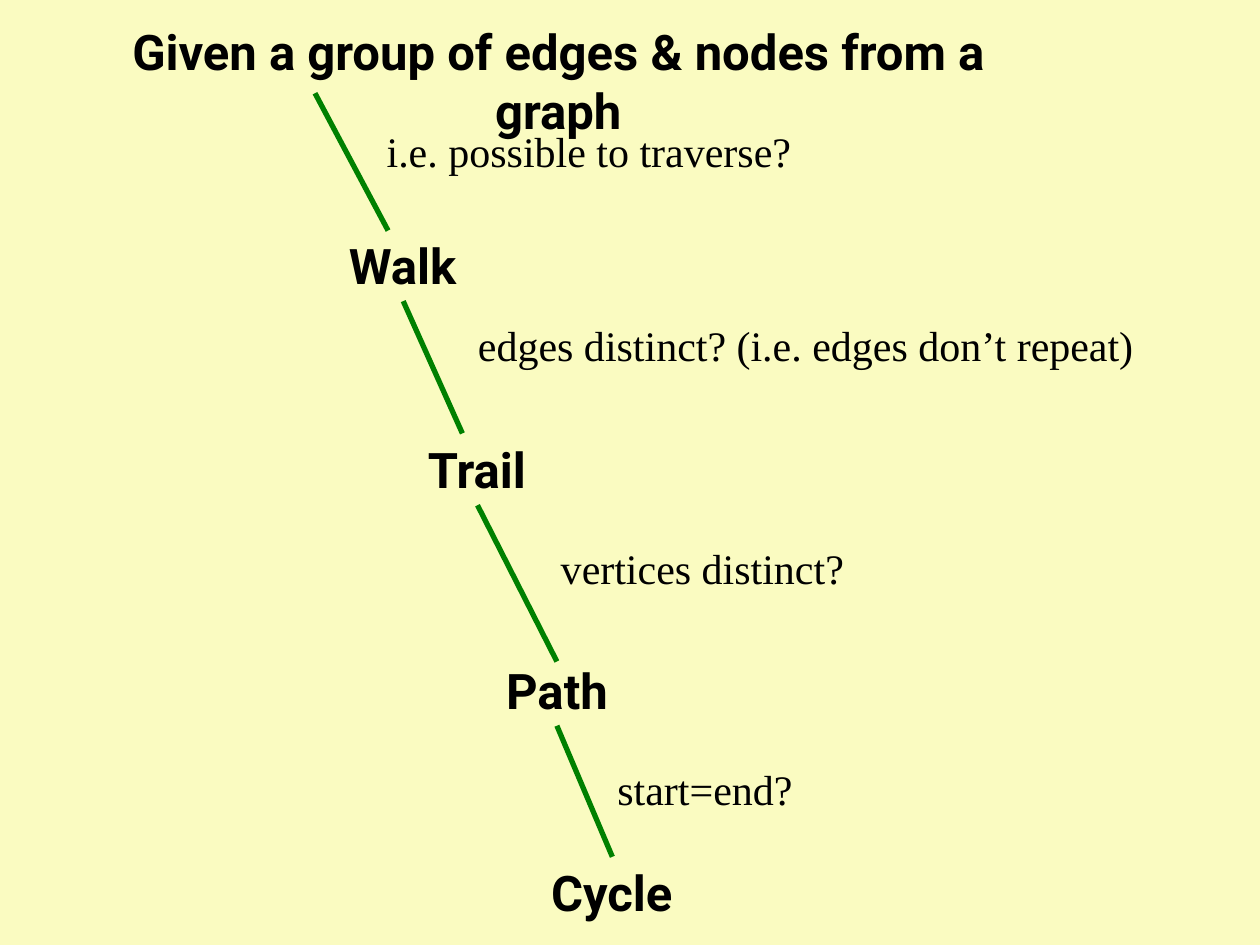
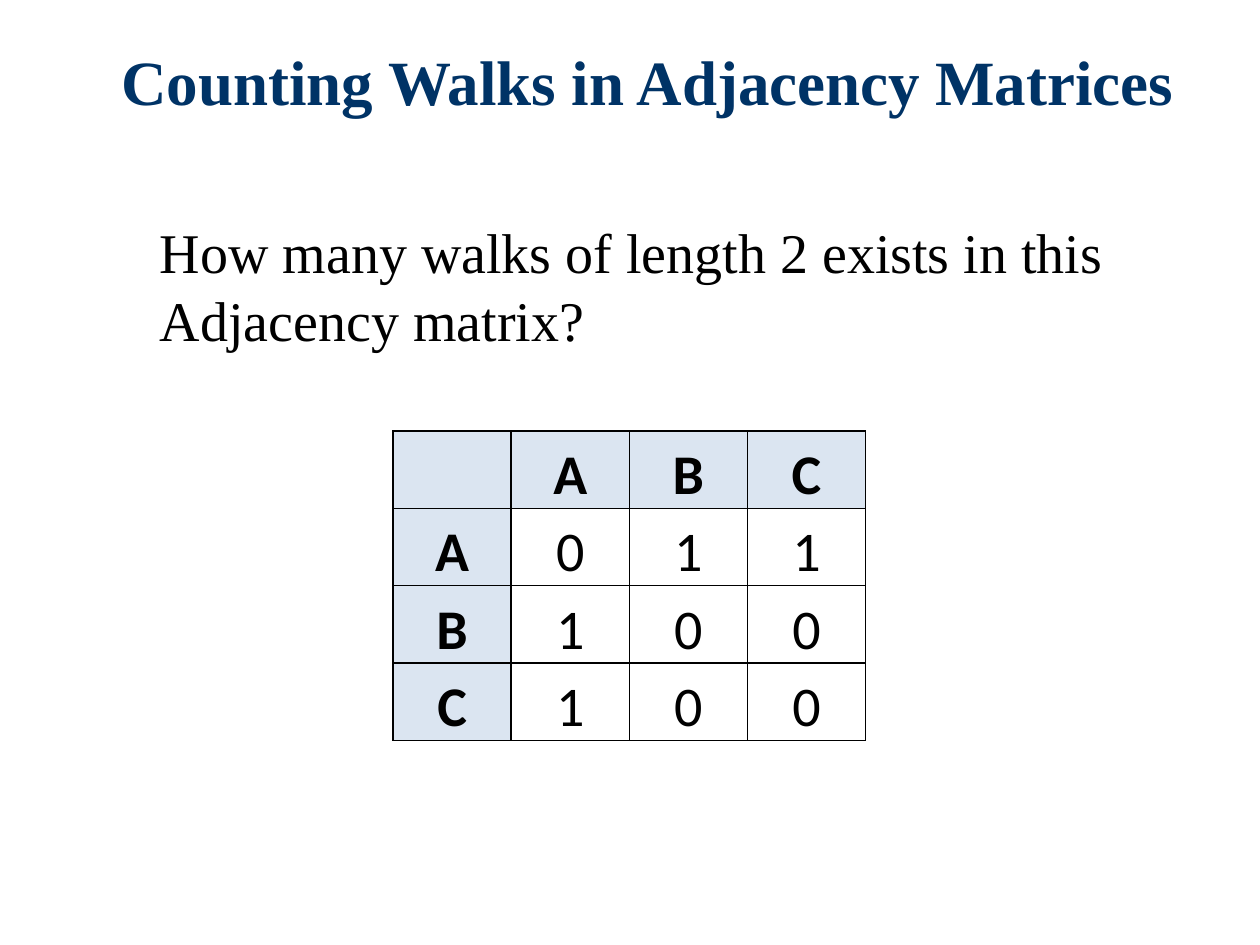
import dataclasses

import lxml.etree
import pptx
import pptx.dml.color
import pptx.enum.shapes
import pptx.enum.text
import pptx.oxml.ns
import pptx.util

PX = 9144  # EMU per px, 100 px to the inch
BLANK_LAYOUT = 6
ALIGN = pptx.enum.text.PP_ALIGN
ANCHOR = pptx.enum.text.MSO_ANCHOR


@dataclasses.dataclass(frozen=True)
class Theme:
    cream: str = "FAFBC1"
    white: str = "FFFFFF"
    black: str = "000000"
    green: str = "008000"
    navy: str = "003366"
    header_blue: str = "DBE5F1"
    serif: str = "Times New Roman"
    heading_font: str = "Roboto"
    table_font: str = "Calibri"
    title_size: int = 36
    body_size: int = 32
    stage_size: int = 28
    question_size: int = 24
    edge_width: int = 3
    border_width: int = 1


THEME = Theme()

# Text, left, top and width of each stage
STAGES = [
    ("Given a group of edges & nodes from a graph", 44, 12, 798),
    ("Walk", 189, 182, 261),
    ("Trail", 256, 344, 245),
    ("Path", 333, 519, 218),
    ("Cycle", 398, 680, 175),
]
# Text, left, top, width and alignment of each question between two stages
QUESTIONS = [
    ("i.e. possible to traverse?", 297, 95, 545, ALIGN.LEFT),
    ("edges distinct? (i.e. edges don’t repeat)", 367, 249, 545, ALIGN.CENTER),
    ("vertices distinct?", 432, 426, 251, ALIGN.CENTER),
    ("start=end?", 464, 601, 191, ALIGN.CENTER),
]
# Start and end of the edge from each stage to the next
EDGES = [
    (250, 74, 308, 183),
    (320, 239, 367, 344),
    (379, 401, 442, 525),
    (442, 576, 486, 680),
]
ADJACENCY = [
    ["", "A", "B", "C"],
    ["A", "0", "1", "1"],
    ["B", "1", "0", "0"],
    ["C", "1", "0", "0"],
]


def px(*lengths):
    return [pptx.util.Emu(length * PX) for length in lengths]


def rgb(color):
    return pptx.dml.color.RGBColor.from_string(color)


def write_text(text_frame, text, *, size, font=THEME.serif, color=THEME.black,
               bold=False, align=ALIGN.LEFT, line_spacing=None):
    paragraph = text_frame.paragraphs[0]
    paragraph.alignment = align
    paragraph.line_spacing = line_spacing
    run = paragraph.add_run()
    run.text = text
    run.font.name = font
    run.font.size = pptx.util.Pt(size)
    run.font.bold = bold
    run.font.color.rgb = rgb(color)


def add_slide(presentation, background):
    slide = presentation.slides.add_slide(presentation.slide_layouts[BLANK_LAYOUT])
    slide.background.fill.solid()
    slide.background.fill.fore_color.rgb = rgb(background)
    return slide


def add_text_box(slide, text, left, top, width, height, *, anchor=ANCHOR.TOP, **text_format):
    shape = slide.shapes.add_textbox(*px(left, top, width, height))
    shape.text_frame.word_wrap = True
    shape.text_frame.vertical_anchor = anchor
    write_text(shape.text_frame, text, **text_format)


def add_edge(slide, *ends):
    connector = slide.shapes.add_connector(
        pptx.enum.shapes.MSO_CONNECTOR.STRAIGHT, *px(*ends))
    connector.line.color.rgb = rgb(THEME.green)
    connector.line.width = pptx.util.Pt(THEME.edge_width)
    properties = connector._element.spPr
    lxml.etree.SubElement(properties, pptx.oxml.ns.qn("a:effectLst"))


def set_borders(cell):
    properties = cell._tc.get_or_add_tcPr()
    qn = pptx.oxml.ns.qn
    for index, side in enumerate(("lnL", "lnR", "lnT", "lnB")):
        border = lxml.etree.Element(
            qn(f"a:{side}"), w=str(pptx.util.Pt(THEME.border_width)))
        fill = lxml.etree.SubElement(border, qn("a:solidFill"))
        lxml.etree.SubElement(fill, qn("a:srgbClr"), val=THEME.black)
        properties.insert(index, border)


def format_cell(cell, text, is_header):
    cell.margin_left, cell.margin_right, cell.margin_top, cell.margin_bottom = px(7, 7, 0, 0)
    cell.fill.solid()
    cell.fill.fore_color.rgb = rgb(THEME.header_blue if is_header else THEME.white)
    set_borders(cell)
    if text:
        write_text(cell.text_frame, text, size=THEME.body_size, font=THEME.table_font,
                   bold=is_header, align=ALIGN.CENTER, line_spacing=1.15)


def add_matrix(slide, rows, left, top, width, height):
    """Add a table whose first row and first column are headers."""
    frame = slide.shapes.add_table(
        len(rows), len(rows[0]), *px(left, top, width, height))
    table = frame.table
    table.first_row = table.horz_banding = False
    for row_index, row in enumerate(rows):
        for column_index, text in enumerate(row):
            is_header = row_index == 0 or column_index == 0
            format_cell(table.cell(row_index, column_index), text, is_header)


def build_hierarchy_slide(presentation):
    slide = add_slide(presentation, THEME.cream)
    for ends in EDGES:
        add_edge(slide, *ends)
    for text, left, top, width in STAGES:
        add_text_box(slide, text, left, top, width, 57, size=THEME.stage_size,
                     font=THEME.heading_font, bold=True, align=ALIGN.CENTER)
    for text, left, top, width, align in QUESTIONS:
        add_text_box(slide, text, left, top, width, 50,
                     size=THEME.question_size, align=align)


def build_matrix_slide(presentation):
    slide = add_slide(presentation, THEME.white)
    add_text_box(slide, "Counting Walks in Adjacency Matrices", 50, 1, 928, 125,
                 anchor=ANCHOR.MIDDLE, size=THEME.title_size, color=THEME.navy,
                 bold=True, align=ALIGN.CENTER)
    add_text_box(slide, "How many walks of length 2 exists in this Adjacency matrix?",
                 117, 168, 808, 118, size=THEME.body_size)
    add_matrix(slide, ADJACENCY, 312, 342, 375, 245)


def main():
    presentation = pptx.Presentation()
    presentation.slide_width, presentation.slide_height = px(1000, 750)
    build_hierarchy_slide(presentation)
    build_matrix_slide(presentation)
    presentation.save("out.pptx")


if __name__ == "__main__":
    main()
